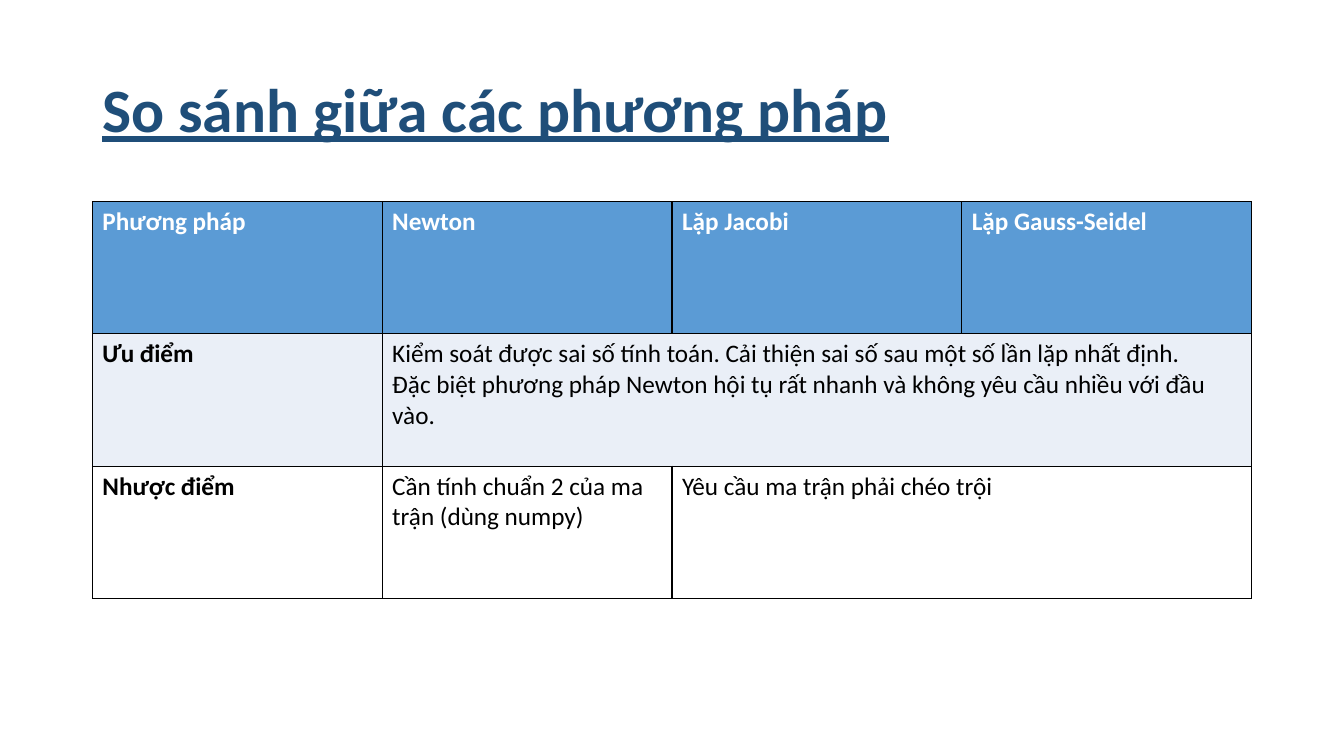
from dataclasses import dataclass

from lxml.etree import SubElement
from pptx import Presentation
from pptx.dml.color import RGBColor
from pptx.enum.text import MSO_ANCHOR as Anchor
from pptx.oxml.ns import qn
from pptx.slide import Slide
from pptx.table import Table, _Cell as Cell
from pptx.text.text import TextFrame
from pptx.util import Emu, Pt

EMU_PER_PX = 9525  # 96 px to the inch


@dataclass(frozen=True)
class Theme:
    font: str = "Calibri"
    title: str = "1F4E79"
    header: str = "5B9BD5"
    band: str = "EAEFF7"
    white: str = "FFFFFF"
    ink: str = "000000"
    title_size: int = 44
    body_size: int = 18
    border_width: int = 1


@dataclass(frozen=True)
class Entry:
    lines: tuple[str, ...]
    bold: bool = False
    span: int = 1


@dataclass(frozen=True)
class Row:
    entries: tuple[Entry, ...]
    fill: str
    color: str


THEME = Theme()
COLUMNS = 4
COLUMN_WIDTH = 276
ROW_HEIGHT = 126
LEFT = 88
TABLE_TOP = 192
HEADINGS = ("Phương pháp", "Newton", "Lặp Jacobi", "Lặp Gauss-Seidel")

ROWS = (
    Row(tuple(Entry((name,), bold=True) for name in HEADINGS), THEME.header, THEME.white),
    Row((
        Entry(("Ưu điểm",), bold=True),
        Entry((
            "Kiểm soát được sai số tính toán. Cải thiện sai số sau một số lần lặp nhất định.",
            "Đặc biệt phương pháp Newton hội tụ rất nhanh và không yêu cầu nhiều với đầu vào.",
        ), span=3),
    ), THEME.band, THEME.ink),
    Row((
        Entry(("Nhược điểm",), bold=True),
        Entry(("Cần tính chuẩn 2 của ma trận (dùng numpy)",)),
        Entry(("Yêu cầu ma trận phải chéo trội",), span=2),
    ), THEME.white, THEME.ink),
)


def px(length: int) -> Emu:
    return Emu(length * EMU_PER_PX)


def write(frame: TextFrame, lines: tuple[str, ...], *, size: int, color: str,
          bold: bool = False, underline: bool = False, spacing: float = 1.0) -> None:
    frame.word_wrap = True
    for index, line in enumerate(lines):
        para = frame.add_paragraph() if index else frame.paragraphs[0]
        para.line_spacing = spacing
        span = para.add_run()
        span.text = line
        span.font.name = THEME.font
        span.font.size = Pt(size)
        span.font.bold = bold
        span.font.underline = underline
        span.font.color.rgb = RGBColor.from_string(color)


def style_cell(cell: Cell, fill: str) -> None:
    # Borders come before the fill in the cell properties
    properties = cell._tc.get_or_add_tcPr()
    for side in ("a:lnL", "a:lnR", "a:lnT", "a:lnB"):
        border = SubElement(properties, qn(side), w=str(Pt(THEME.border_width)))
        paint = SubElement(border, qn("a:solidFill"))
        SubElement(paint, qn("a:srgbClr"), val=THEME.ink)
    cell.fill.solid()
    cell.fill.fore_color.rgb = RGBColor.from_string(fill)


def fill_row(table: Table, number: int, row: Row) -> None:
    table.rows[number].height = px(ROW_HEIGHT)
    for column in range(COLUMNS):
        style_cell(table.cell(number, column), row.fill)
    column = 0
    for entry in row.entries:
        cell = table.cell(number, column)
        if entry.span > 1:
            cell.merge(table.cell(number, column + entry.span - 1))
        write(cell.text_frame, entry.lines, size=THEME.body_size,
              color=row.color, bold=entry.bold)
        column += entry.span


def add_title(page: Slide) -> None:
    box = page.shapes.add_textbox(px(LEFT), px(38), px(COLUMNS * COLUMN_WIDTH), px(139))
    box.text_frame.vertical_anchor = Anchor.MIDDLE
    write(box.text_frame, ("So sánh giữa các phương pháp",), size=THEME.title_size,
          color=THEME.title, bold=True, underline=True, spacing=0.9)


def add_comparison(page: Slide) -> None:
    table = page.shapes.add_table(
        len(ROWS), COLUMNS, px(LEFT), px(TABLE_TOP),
        px(COLUMNS * COLUMN_WIDTH), px(len(ROWS) * ROW_HEIGHT),
    ).table
    table.horz_banding = False
    for column in table.columns:
        column.width = px(COLUMN_WIDTH)
    for number, row in enumerate(ROWS):
        fill_row(table, number, row)


def main() -> None:
    deck = Presentation()
    deck.slide_width, deck.slide_height = px(1280), px(720)
    page = deck.slides.add_slide(deck.slide_layouts[6])
    add_title(page)
    add_comparison(page)
    deck.save("out.pptx")


if __name__ == "__main__":
    main()
